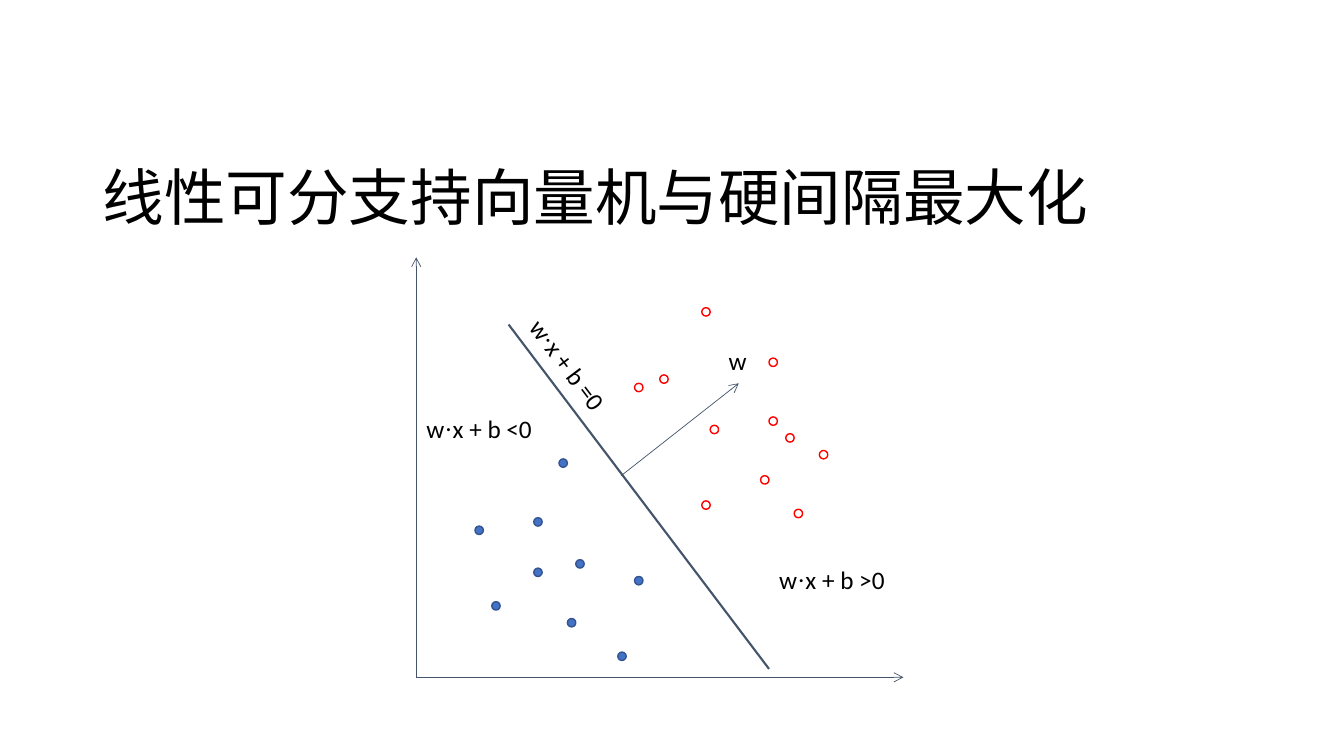
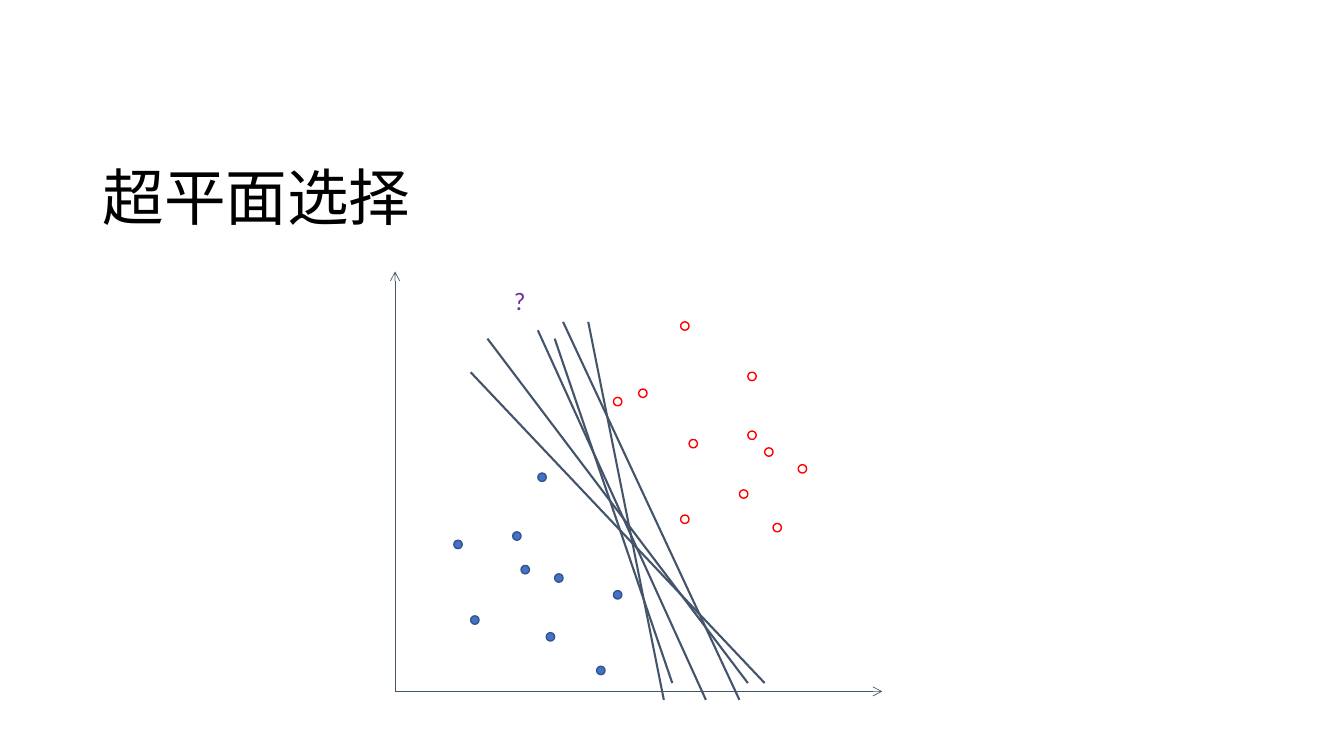
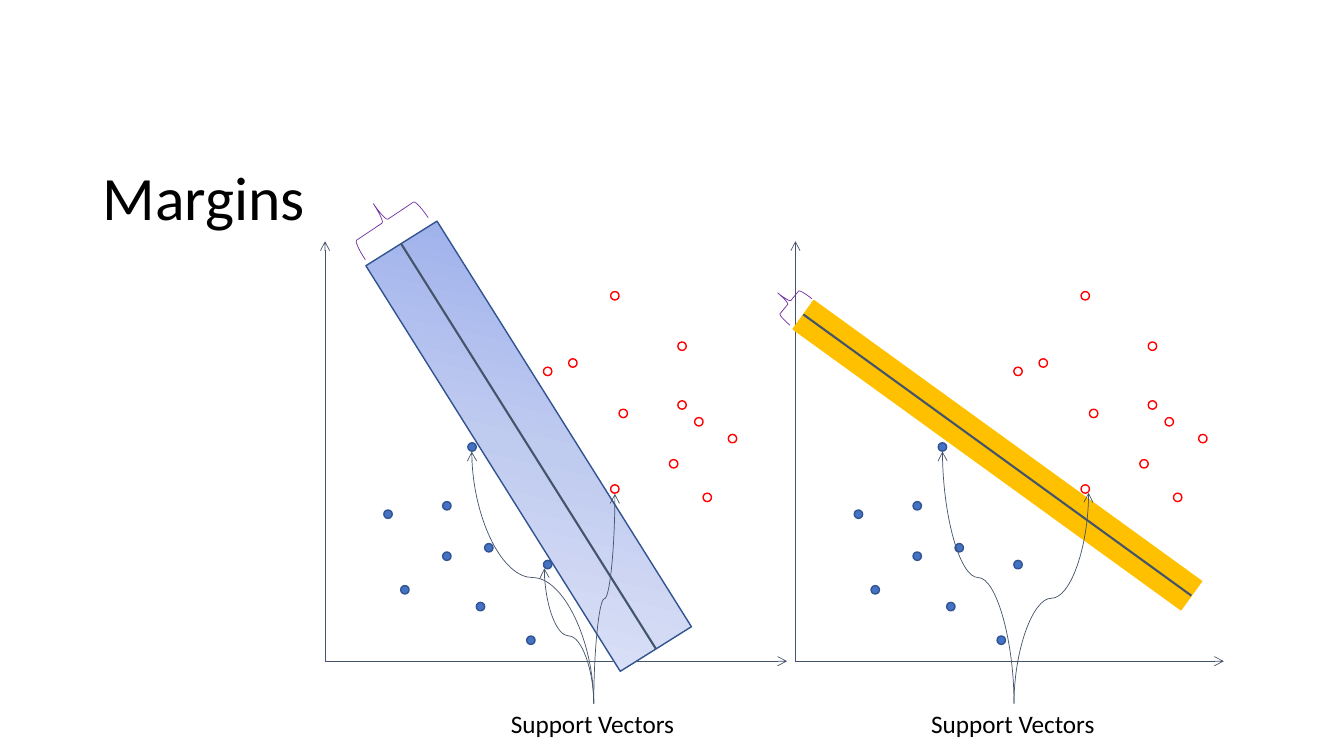
import pptx
import pptx.util
import pptx.dml.color
import pptx.enum.shapes
import pptx.enum.text
import pptx.oxml.ns
from copy import deepcopy
from lxml import etree

Pt = pptx.util.Pt
RGBColor = pptx.dml.color.RGBColor
SHAPE = pptx.enum.shapes.MSO_SHAPE
CONNECTOR = pptx.enum.shapes.MSO_CONNECTOR
TEXT = pptx.enum.text
qn = pptx.oxml.ns.qn

BLACK = RGBColor(0x00, 0x00, 0x00)
SLATE = RGBColor(0x44, 0x54, 0x6A)
BLUE = RGBColor(0x44, 0x72, 0xC4)
DARK_BLUE = RGBColor(0x32, 0x54, 0x91)
RED = RGBColor(0xFF, 0x00, 0x00)
PURPLE = RGBColor(0x70, 0x30, 0xA0)
GOLD = RGBColor(0xFF, 0xC0, 0x00)
GRADIENT = [
    (0, RGBColor(0x96, 0xAB, 0xEA)),
    (0.5, RGBColor(0xC0, 0xCB, 0xF0)),
    (1, RGBColor(0xE0, 0xE5, 0xF7)),
]

FONT = "Calibri"
DOT_FONT = "Times New Roman"
THIN, THICK = 0.5, 1.5

# Plots sit on a square grid; columns and rows count from the axis origin.
STEP = 6
NEGATIVE = [(7, -18), (14, -19), (26, -12), (19, -14), (18, -7),
            (17, -26), (24, -3), (9, -9)]
POSITIVE = [(29, -36), (42, -31), (34, -44), (35, -30), (34, -21), (26, -35),
            (41, -24), (42, -38), (45, -20), (48, -27), (44, -29)]
HYPERPLANE = ((11, -42), (42, -1))
OTHER_HYPERPLANES = [
    ((17, -43), (37, 1)),
    ((9, -38), (44, -1)),
    ((20, -44), (41, 1)),
    ((19, -42), (33, -1)),
    ((23, -44), (32, 1)),
]


def apply(obj, values):
    for name, value in values.items():
        setattr(obj, name, value)


def on_grid(origin, cell):
    return origin[0] + cell[0] * STEP, origin[1] + cell[1] * STEP


def add_title(prs, text):
    """Start a slide with its title and return the slide."""
    s = prs.slides.add_slide(prs.slide_layouts[5])
    title = s.shapes.title
    apply(title, {"left": Pt(66), "top": Pt(91.4),
                  "width": Pt(828), "height": Pt(104.4)})
    tf = title.text_frame
    apply(tf, {"text": text, "word_wrap": True,
               "auto_size": TEXT.MSO_AUTO_SIZE.NONE,
               "vertical_anchor": TEXT.MSO_ANCHOR.MIDDLE})
    p = tf.paragraphs[0]
    apply(p, {"alignment": TEXT.PP_ALIGN.LEFT, "line_spacing": 0.9})
    apply(p.runs[0].font, {"name": FONT, "size": Pt(44)})
    p.runs[0].font.color.rgb = BLACK
    return s


def add_label(s, text, left, top, width, color=BLACK, rotation=0):
    sp = s.shapes.add_textbox(Pt(left), Pt(top), Pt(width), Pt(28.8))
    sp.rotation = rotation
    tf = sp.text_frame
    apply(tf, {"word_wrap": False,
               "auto_size": TEXT.MSO_AUTO_SIZE.SHAPE_TO_FIT_TEXT})
    for part in filter(None, text.partition("·")):
        r = tf.paragraphs[0].add_run()
        r.text = part
        apply(r.font, {"name": DOT_FONT if part == "·" else FONT,
                       "size": Pt(18)})
        r.font.color.rgb = color


def add_shape(s, kind, box, line, width, fill=None, rotation=0):
    sp = s.shapes.add_shape(kind, *map(Pt, box))
    sp.rotation = rotation
    if fill is None:
        sp.fill.background()
    else:
        sp.fill.solid()
        sp.fill.fore_color.rgb = fill
    sp.line.color.rgb = line
    sp.line.width = Pt(width)
    sp.shadow.inherit = False
    return sp


def add_line(s, start, end, width=THICK, arrow=False, kind=CONNECTOR.STRAIGHT):
    cxn = s.shapes.add_connector(kind, *map(Pt, (*start, *end)))
    cxn.line.color.rgb = SLATE
    cxn.line.width = Pt(width)
    sp_pr = cxn.element.spPr
    if arrow:
        etree.SubElement(sp_pr.find(qn("a:ln")), qn("a:tailEnd"), type="arrow")
    etree.SubElement(sp_pr, qn("a:effectLst"))
    return cxn


def add_curve(s, start, end):
    """Draw a curved arrow that leaves and arrives vertically."""
    (x1, y1), (x2, y2) = start, end
    mid_x, mid_y = (x1 + x2) / 2, (y1 + y2) / 2
    turn, sign = (90, 1) if x2 > x1 else (270, -1)
    dx, dy = sign * (y1 - y2) / 2, sign * (x2 - x1) / 2
    cxn = add_line(s, (mid_x + dx, mid_y + dy), (mid_x - dx, mid_y - dy),
                   THIN, True, CONNECTOR.CURVE)
    cxn.element.spPr.find(qn("a:xfrm")).set("rot", str(turn * 60000))


def fill_gradient(sp):
    sp.fill.gradient()
    sp.fill.gradient_angle = 135
    stops = sp.element.spPr.find(qn("a:gradFill")).find(qn("a:gsLst"))
    stops.append(deepcopy(stops[0]))
    for stop, (position, color) in zip(sp.fill.gradient_stops, GRADIENT):
        stop.position = position
        stop.color.rgb = color


def add_plot(s, origin, x_length, ninth_point=(14, -13)):
    """Draw the axes and both classes of sample points."""
    x, y = origin
    add_line(s, origin, (x + x_length, y), THIN, True)
    add_line(s, origin, (x, y - 300), THIN, True)
    classes = [(NEGATIVE + [ninth_point], DARK_BLUE, BLUE),
               (POSITIVE, RED, None)]
    for cells, line, fill in classes:
        for cell in cells:
            box = (*on_grid(origin, cell), STEP, STEP)
            add_shape(s, SHAPE.OVAL, box, line, 1, fill)


def add_hyperplane(s, origin, cells):
    add_line(s, *[on_grid(origin, cell) for cell in cells])


def add_support_vectors(s, left, start, ends):
    add_label(s, "Support Vectors", left, 502.6, 132.5)
    for end in ends:
        add_curve(s, start, end)


def build_separable(prs):
    s = add_title(prs, "线性可分支持向量机与硬间隔最大化")
    origin = (297.3, 483.8)
    add_plot(s, origin, 348)
    add_hyperplane(s, origin, HYPERPLANE)
    add_line(s, on_grid(origin, (24.4, -24)), on_grid(origin, (38.4, -35)),
             THIN, True)
    add_label(s, "w·x + b >0", 549.4, 399.6, 90)
    add_label(s, "w·x + b <0", 297.4, 291.6, 90)
    add_label(s, "w·x + b =0", 360.7, 246.2, 90, rotation=53)
    add_label(s, "w", 513.4, 243.4, 27.4)


def build_choice(prs):
    s = add_title(prs, "超平面选择")
    origin = (282.2, 493.9)
    add_plot(s, origin, 348, ninth_point=(15, -15))
    for cells in [HYPERPLANE, *OTHER_HYPERPLANES]:
        add_hyperplane(s, origin, cells)
    add_label(s, "?", 360, 200.2, 23, PURPLE)


def build_margins(prs):
    s = add_title(prs, "Margins")
    add_plot(s, (232.2, 472.3), 330)
    add_plot(s, (568.2, 472.3), 306)

    wide_margin = add_shape(s, SHAPE.RECTANGLE, (206.6, 288.7, 342, 60),
                            DARK_BLUE, 1, rotation=237.9)
    fill_gradient(wide_margin)
    add_line(s, (286.6, 174.2), (468.7, 463.7))
    add_shape(s, SHAPE.RECTANGLE, (541.4, 312.5, 342, 25.2),
              GOLD, 1, GOLD, 215.9)
    add_line(s, (573.8, 224.6), (851, 425.5))

    for box, rotation in [((259.9, 131, 30.2, 54), 56.2),
                          ((553, 203.8, 21.6, 24.5), 39.3)]:
        add_shape(s, SHAPE.LEFT_BRACE, box, PURPLE, THIN, rotation=rotation)

    add_support_vectors(s, 357.8, (424.1, 502.6),
                        [(388.8, 406.1), (337, 322.6), (439.2, 352.8)])
    add_support_vectors(s, 658.1, (724.3, 502.6),
                        [(673.2, 322.6), (777.6, 352.1)])


def main():
    prs = pptx.Presentation()
    apply(prs, {"slide_width": Pt(960), "slide_height": Pt(540)})
    build_separable(prs)
    build_choice(prs)
    build_margins(prs)
    prs.save("out.pptx")


if __name__ == "__main__":
    main()
